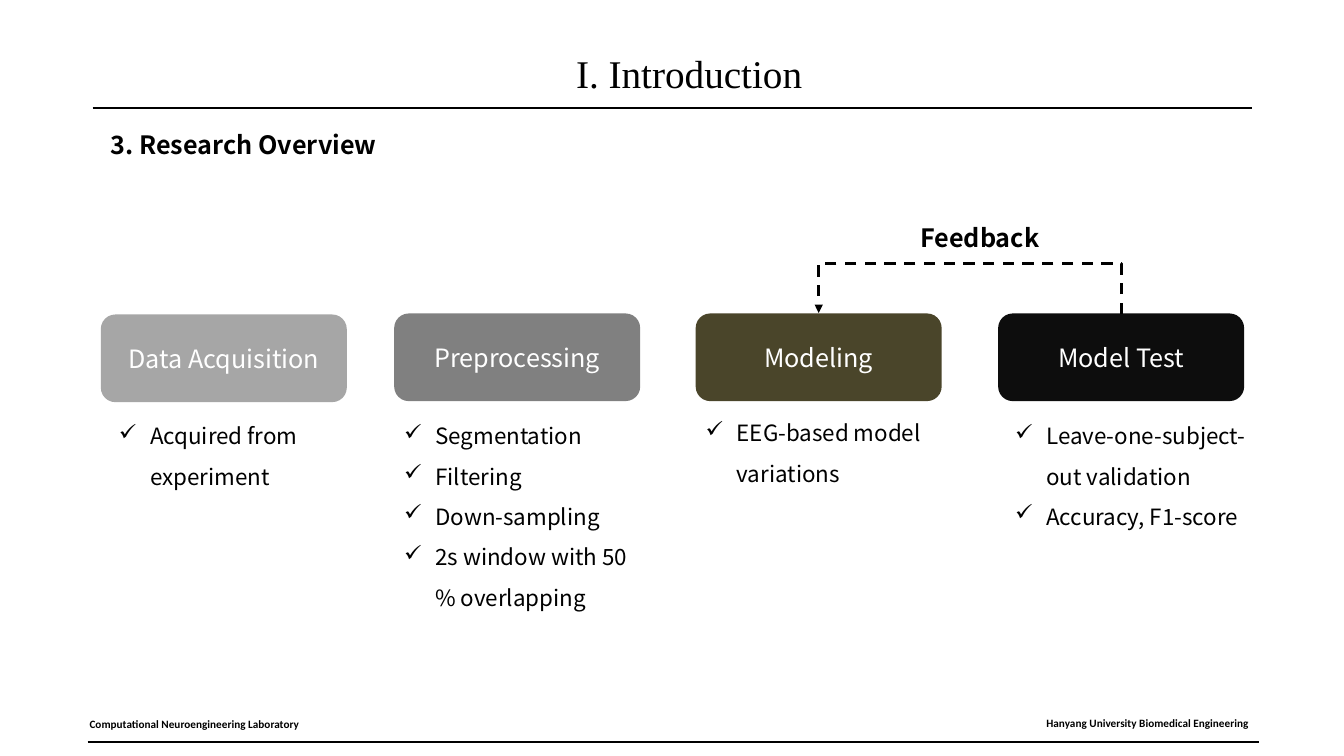
from lxml import etree
from pptx import Presentation
from pptx.dml.color import RGBColor
from pptx.enum.dml import MSO_LINE
from pptx.enum.shapes import MSO_CONNECTOR, MSO_SHAPE
from pptx.enum.text import MSO_ANCHOR, PP_ALIGN
from pptx.oxml.ns import qn
from pptx.util import Inches, Pt

STRAIGHT, ELBOW = MSO_CONNECTOR.STRAIGHT, MSO_CONNECTOR.ELBOW
ROUNDED = MSO_SHAPE.ROUNDED_RECTANGLE
DASH = MSO_LINE.DASH
MIDDLE = MSO_ANCHOR.MIDDLE
LEFT, CENTER = PP_ALIGN.LEFT, PP_ALIGN.CENTER

BLACK = RGBColor(0x00, 0x00, 0x00)
WHITE = RGBColor(0xFF, 0xFF, 0xFF)
LIGHT_GREY = RGBColor(0xA6, 0xA6, 0xA6)
GREY = RGBColor(0x80, 0x80, 0x80)
OLIVE = RGBColor(0x4A, 0x45, 0x2A)
INK = RGBColor(0x0D, 0x0D, 0x0D)

SANS, SERIF, SMALL = "Noto Sans CJK KR", "Times New Roman", "Calibri"
STEP_W, STEP_H = 2.44, 0.87
NOTE_W, NOTE_INDENT = 2.52, 0.31

STEPS = [
    ("Data Acquisition", LIGHT_GREY, 1, 3.12, 0.08, 4.01,
     ["Acquired from experiment"]),
    ("Preprocessing", GREY, 3.91, 3.11, 0, 4.01,
     ["Segmentation", "Filtering", "Down-sampling",
      "2s window with 50 % overlapping"]),
    ("Modeling", OLIVE, 6.9, 3.11, 0, 3.98,
     ["EEG-based model variations"]),
    ("Model Test", INK, 9.9, 3.11, 0.07, 4.01,
     ["Leave-one-subject-out validation", "Accuracy, F1-score"]),
]


def add_run(p, text, size, font=SANS, color=BLACK, bold=False):
    r = p.add_run()
    r.text = text
    r.font.size = Pt(size)
    r.font.name = font
    r.font.color.rgb = color
    r.font.bold = bold


def add_text(s, box, text, size, font=SANS, bold=False, align=LEFT,
             spacing=1, wrap=True):
    tf = s.shapes.add_textbox(*map(Inches, box)).text_frame
    tf.word_wrap = wrap
    p = tf.paragraphs[0]
    p.alignment = align
    p.line_spacing = spacing
    add_run(p, text, size, font, bold=bold)
    return tf


def add_line(s, kind, start, end, width):
    line = s.shapes.add_connector(kind, *map(Inches, start + end))
    line.line.color.rgb = BLACK
    line.line.width = Pt(width)
    etree.SubElement(line._element.spPr, qn("a:effectLst"))
    return line


def add_header(s, left, top):
    tf = add_text(s, (left, top, 11.67, 1.02), "I. Introduction", 28, SERIF,
                  align=CENTER)
    tf.vertical_anchor = MIDDLE
    add_line(s, STRAIGHT, (left - 0.08, top + 0.86),
             (left + 11.42, top + 0.86), 1.25)
    add_text(s, (left, top + 1.02, 6.46, 0.4), "3. Research Overview", 18,
             bold=True)


def add_notes_list(s, left, top, notes):
    tf = s.shapes.add_textbox(*map(Inches, (left, top, NOTE_W, 0.86))).text_frame
    tf.word_wrap = True
    for i, note in enumerate(notes):
        p = tf.paragraphs[0] if i == 0 else tf.add_paragraph()
        p.line_spacing = 1.5
        pPr = p._p.get_or_add_pPr()
        pPr.set("marL", str(Inches(NOTE_INDENT)))
        pPr.set("indent", str(-Inches(NOTE_INDENT)))
        etree.SubElement(pPr, qn("a:buChar")).set("char", "✓")
        add_run(p, note, 16)


def add_step(s, name, fill, left, top, note_shift, note_top, notes):
    sp = s.shapes.add_shape(ROUNDED, *map(Inches, (left, top, STEP_W, STEP_H)))
    sp.shadow.inherit = False
    sp.fill.solid()
    sp.fill.fore_color.rgb = fill
    sp.line.fill.background()
    tf = sp.text_frame
    tf.word_wrap = True
    tf.vertical_anchor = MIDDLE
    p = tf.paragraphs[0]
    p.alignment = CENTER
    add_run(p, name, 18, color=WHITE)
    add_notes_list(s, left + note_shift, note_top, notes)


def add_feedback(s, target_x, source_x, top, rise):
    span, depth = source_x - target_x, 0.01
    mid = (target_x + source_x) / 2
    arrow = add_line(s, ELBOW, (mid - depth / 2, top + span / 2),
                     (mid + depth / 2, top - span / 2), 2)
    arrow.line.dash_style = DASH
    spPr = arrow._element.spPr
    spPr.find(qn("a:xfrm")).set("rot", str(270 * 60000))
    avLst = spPr.find(qn("a:prstGeom")).get_or_add_avLst()
    gd = etree.SubElement(avLst, qn("a:gd"))
    gd.set("name", "adj1")
    gd.set("fmla", f"val {round(rise / depth * 100000)}")
    etree.SubElement(spPr.find(qn("a:ln")), qn("a:tailEnd")).set("type", "triangle")
    add_text(s, (mid - 0.59, top - 1.1, 1.5, 0.5), "Feedback", 18, bold=True,
             spacing=1.5)


def add_footer(s, left, top):
    add_text(s, (left, top + 0.01, 11.6, 0.24),
             "Computational Neuroengineering Laboratory", 8, SMALL, bold=True)
    add_text(s, (left + 9.49, top, 2.37, 0.24),
             "Hanyang University Biomedical Engineering", 8, SMALL, bold=True,
             wrap=False)
    add_line(s, STRAIGHT, (left + 0.08, top + 0.3), (left + 11.7, top + 0.3), 1.25)


def main():
    prs = Presentation()
    prs.slide_width, prs.slide_height = Inches(13.33), Inches(7.5)
    s = prs.slides.add_slide(prs.slide_layouts[6])
    add_header(s, 1, 0.21)
    for step in STEPS:
        add_step(s, *step)
    target_x, source_x = (step[2] + STEP_W / 2 for step in STEPS[2:])
    add_feedback(s, target_x, source_x, 3.11, 0.51)
    add_footer(s, 0.79, 7.06)
    prs.save("out.pptx")


if __name__ == "__main__":
    main()
